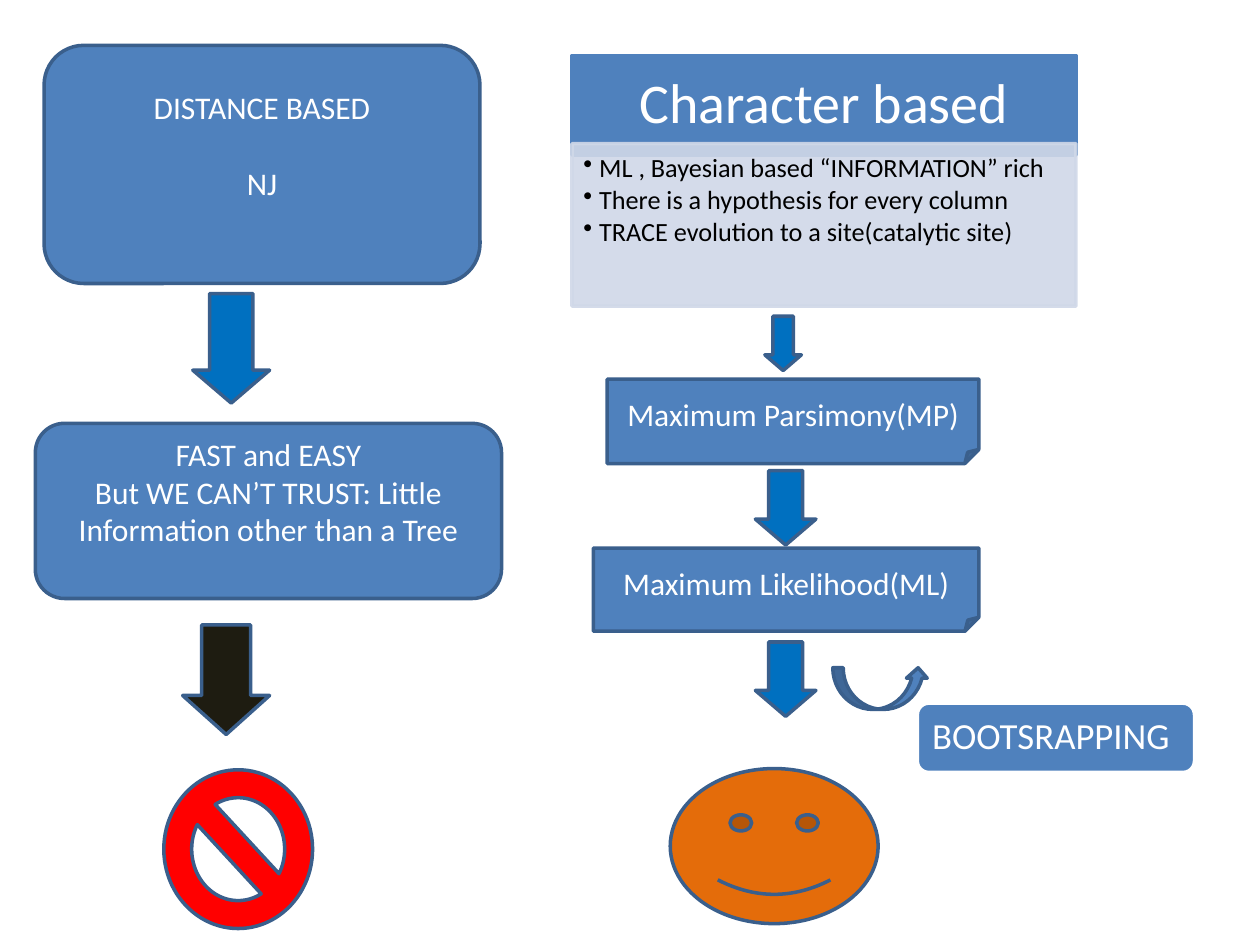
from pptx import Presentation
from pptx.util import Pt
from pptx.dml.color import RGBColor
from pptx.enum.shapes import MSO_SHAPE as SHAPE
from pptx.enum.text import PP_ALIGN as ALIGN, MSO_ANCHOR as ANCHOR
from pptx.oxml.ns import qn
from lxml import etree

COLORS = {
    "blue": "4F81BD", "edge": "3A5F8C", "arrow": "0070C0", "pale": "D0D8E8",
    "dark": "1E1C11", "red": "FF0000", "orange": "E46C0A",
    "white": "FFFFFF", "black": "000000",
}


class SlideBuilder:
    font = "Calibri"
    line_width = Pt(2)

    def __init__(self, slide):
        self.s = slide

    def paint(self, fill, color, alpha=None):
        fill.solid()
        fill.fore_color.rgb = RGBColor.from_string(COLORS[color])
        if alpha is not None:
            clr = fill._xPr.find(qn("a:solidFill"))[0]
            etree.SubElement(clr, qn("a:alpha"), val=str(alpha * 1000))

    def shape(self, kind, box, fill="blue", line="edge", alpha=None):
        sp = self.s.shapes.add_shape(kind, *[Pt(v) for v in box])
        sp.shadow.inherit = False
        self.paint(sp.fill, fill, alpha)
        self.paint(sp.line.fill, line, alpha)
        sp.line.width = self.line_width
        return sp

    def down_arrow(self, box, fill="arrow", head=0.428):
        sp = self.shape(SHAPE.RIGHT_ARROW, box, fill)
        sp.rotation = 90
        sp.adjustments[0] = 0.562
        sp.adjustments[1] = head

    def text(self, sp, lines, size=18, color="white", align=ALIGN.CENTER,
             anchor=ANCHOR.MIDDLE, insets=(7.2, 3.6, 7.2, 3.6),
             spacing=None, gap=0, bullet=False):
        tf = sp.text_frame
        tf.word_wrap = True
        tf.vertical_anchor = anchor
        (tf.margin_left, tf.margin_top,
         tf.margin_right, tf.margin_bottom) = [Pt(v) for v in insets]
        for i, line in enumerate(lines):
            p = tf.add_paragraph() if i else tf.paragraphs[0]
            p.alignment = align
            if spacing:
                p.line_spacing = spacing
            if i and gap:
                p.space_before = Pt(gap)
            if bullet:
                pPr = p._p.get_or_add_pPr()
                indent = Pt(9)
                pPr.set("marL", str(indent))
                pPr.set("indent", str(-indent))
                etree.SubElement(pPr, qn("a:buChar"), char="•")
            r = p.add_run()
            r.text = line
            r.font.name = self.font
            r.font.size = Pt(size)
            r.font.color.rgb = RGBColor.from_string(COLORS[color])


prs = Presentation()
prs.slide_width, prs.slide_height = Pt(720), Pt(540)
b = SlideBuilder(prs.slides.add_slide(prs.slide_layouts[6]))

# Distance based column
distance = b.shape(SHAPE.ROUNDED_RECTANGLE, (25.2, 25.9, 249.1, 136.1))
b.text(distance, ["DISTANCE BASED", "NJ"], gap=22, insets=(7.2, 3.6, 7.2, 25.6))
b.down_arrow((100.8, 177.1, 62.6, 43.9))
verdict = b.shape(SHAPE.ROUNDED_RECTANGLE, (20.2, 241.9, 266.4, 100.1))
b.text(verdict, ["FAST and EASY",
                 "But WE CAN’T TRUST: Little Information other than a Tree"],
       insets=(7.2, 3.6, 7.2, 25.6))
b.down_arrow((97.9, 363.6, 62.6, 49.7), "dark", head=0.448)
b.shape(SHAPE.NO_SYMBOL, (93.6, 439.9, 85, 90.7), "red")

# Character based heading and list
heading = b.shape(SHAPE.RECTANGLE, (326.9, 31.7, 288, 56.9), line="blue")
b.text(heading, ["Character based"], size=32, spacing=0.9,
       insets=(18, 10, 18, 10))
points = b.shape(SHAPE.RECTANGLE, (326.9, 82.1, 288, 92.9),
                 "pale", "pale", alpha=90)
b.text(points, ["ML , Bayesian based “INFORMATION” rich",
                "There is a hypothesis for every column",
                "TRACE evolution to a site(catalytic site)"],
       size=15, color="black", align=ALIGN.LEFT, anchor=ANCHOR.TOP,
       insets=(6.5, 6.5, 8.6, 9.4), spacing=0.9, gap=2, bullet=True)

# Character based methods
for label, box in [("Maximum Parsimony(MP)", (347, 216.7, 212.4, 48.2)),
                   ("Maximum Likelihood(ML)", (339.1, 313.2, 220.3, 47.5))]:
    b.text(b.shape(SHAPE.FOLDED_CORNER, box), [label])
b.down_arrow((432, 185.8, 31, 20.9))
for top in (272.9, 370.8):
    b.down_arrow((427.7, top, 42.5, 34.6))
b.shape(SHAPE.SMILEY_FACE, (383, 439.2, 118.8, 88.6), "orange")

# Bootstrapping side step
b.shape(SHAPE.CURVED_UP_ARROW, (475.9, 381.6, 54.7, 23.8))
bootstrap = b.shape(SHAPE.ROUNDED_RECTANGLE, (524.2, 401.8, 158.4, 39.6),
                    line="white")
b.text(bootstrap, ["BOOTSRAPPING"], size=21, align=ALIGN.LEFT, spacing=0.9,
       insets=(6.5, 6.5, 6.5, 6.5))

prs.save("out.pptx")
